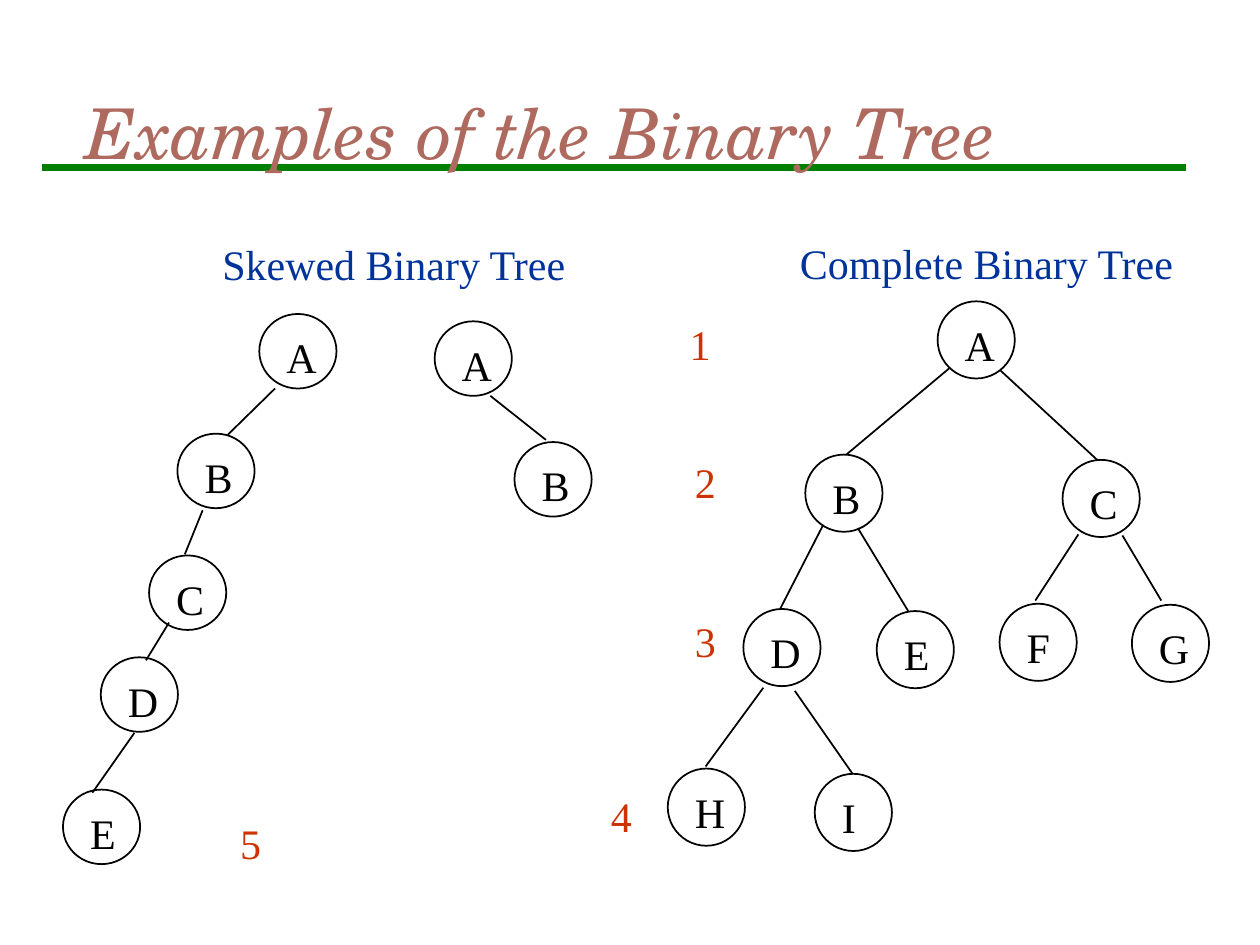
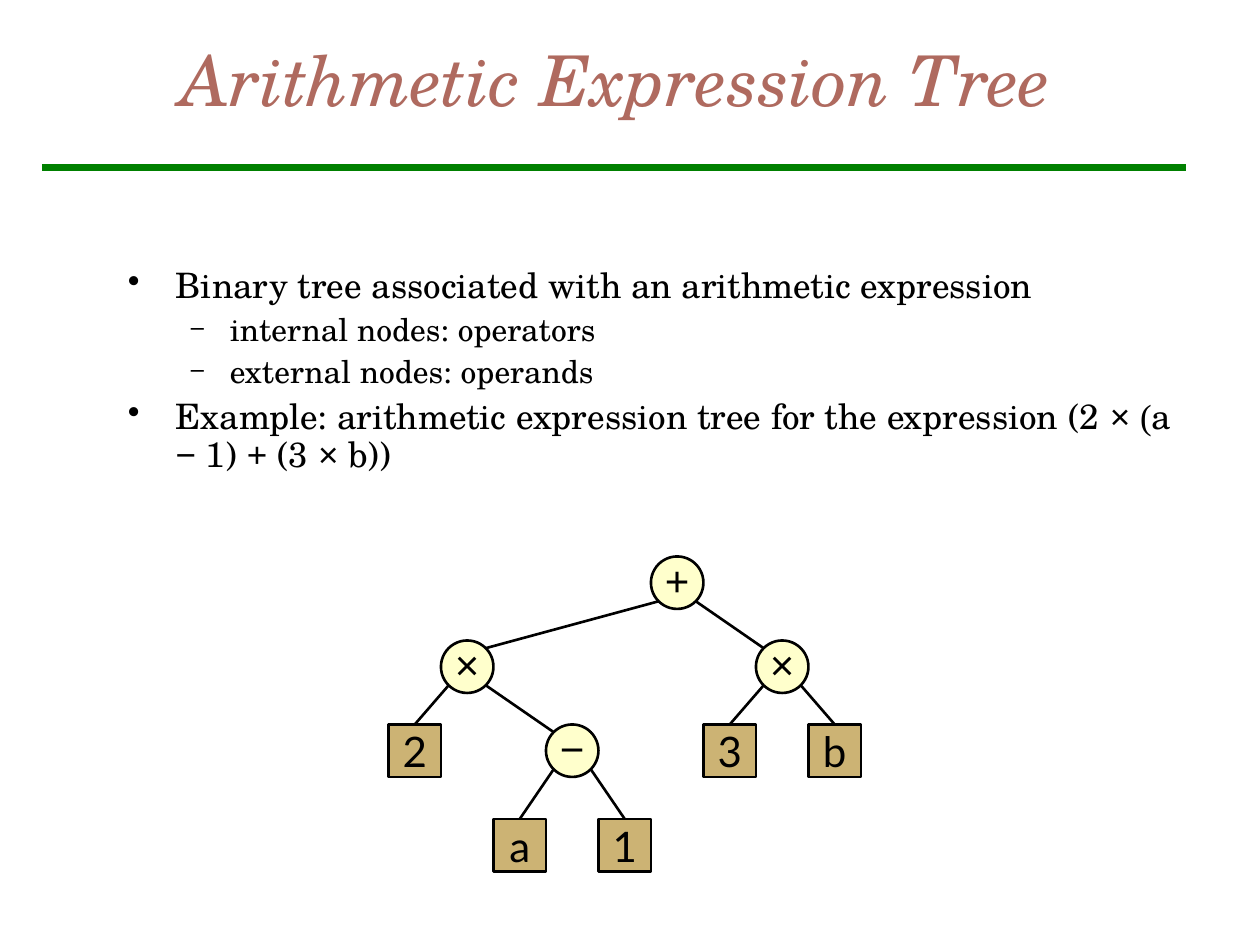
"""Build two slides on binary trees and arithmetic expression trees."""
from math import sqrt

from lxml.etree import SubElement
from pptx import Presentation
from pptx.dml.color import RGBColor
from pptx.enum.shapes import MSO_CONNECTOR, MSO_SHAPE
from pptx.enum.text import MSO_ANCHOR, PP_ALIGN
from pptx.oxml.ns import qn
from pptx.util import Inches, Pt

WHITE = RGBColor(0xFF, 0xFF, 0xFF)
BLACK = RGBColor(0x00, 0x00, 0x00)
GREEN = RGBColor(0x00, 0x80, 0x00)
ROSE = RGBColor(0xAF, 0x6A, 0x5F)
BLUE = RGBColor(0x00, 0x33, 0x99)
RED = RGBColor(0xCC, 0x33, 0x00)
CREAM = RGBColor(0xFF, 0xFF, 0xCC)
TAN = RGBColor(0xCC, 0xB3, 0x74)

SCHOLA, TIMES, ARIAL, LATO = "TeX Gyre Schola", "Times New Roman", "Arial", "Lato"

COLS, ROWS = 120, 90
NODE = 5


def write(p, text, font=TIMES, size=24, color=BLACK, italic=False, align=PP_ALIGN.LEFT):
    """Fill a paragraph from a string or from (text, font) pairs."""
    p.alignment = align
    for part, face in [(text, font)] if isinstance(text, str) else text:
        r = p.add_run()
        r.text = part
        r.font.name, r.font.size, r.font.italic = face, Pt(size), italic
        r.font.color.rgb = color


def bullet(p, char, indent, hang, percent, before):
    """Give a paragraph its bullet, indent and spacing."""
    p.line_spacing, p.space_before = 0.9, Pt(before)
    pPr = p._p.get_or_add_pPr()
    pPr.set("marL", str(Inches(indent)))
    pPr.set("indent", str(-Inches(hang)))
    clr = SubElement(pPr, qn("a:buClr"))
    SubElement(clr, qn("a:srgbClr"), val=str(BLACK))
    SubElement(pPr, qn("a:buSzPct"), val=str(percent * 1000))
    SubElement(pPr, qn("a:buChar"), char=char)


class Deck:
    """Hold the presentation, its grid and the current slide."""

    def __init__(self):
        self.prs = Presentation()
        self.prs.slide_width, self.prs.slide_height = Inches(10), Inches(7.5)
        self.s = None

    def grid(self, *lengths):
        """Turn alternating columns and rows into lengths."""
        units = self.prs.slide_width / COLS, self.prs.slide_height / ROWS
        return [round(n * units[i % 2]) for i, n in enumerate(lengths)]

    def slide(self, title, *box):
        """Start a slide with its green rule and title."""
        self.s = self.prs.slides.add_slide(self.prs.slide_layouts[6])
        self.s.background.fill.solid()
        self.s.background.fill.fore_color.rgb = WHITE
        self.line(4, 16, 113, 16, color=GREEN, width=4)
        tf = self.box(*box, anchor=MSO_ANCHOR.MIDDLE)
        write(tf.paragraphs[0], title, font=SCHOLA, size=40, color=ROSE, italic=True)

    def box(self, x, y, w, h, anchor=MSO_ANCHOR.TOP):
        """Add a wrapping text box and return its text frame."""
        tf = self.s.shapes.add_textbox(*self.grid(x, y, w, h)).text_frame
        tf.word_wrap, tf.vertical_anchor = True, anchor
        return tf

    def label(self, text, x, y, w=5.5, color=BLACK):
        """Add a one-line label."""
        write(self.box(x, y, w, 6).paragraphs[0], text, color=color)

    def line(self, x1, y1, x2, y2, color=BLACK, width=1.0):
        """Add a straight line."""
        sp = self.s.shapes.add_connector(MSO_CONNECTOR.STRAIGHT, *self.grid(x1, y1, x2, y2))
        sp.line.color.rgb, sp.line.width = color, Pt(width)
        SubElement(sp._element.spPr, qn("a:effectLst"))
        return sp

    def shape(self, kind, x, y, w, h, fill=None, width=1.0):
        """Add an outlined shape."""
        sp = self.s.shapes.add_shape(kind, *self.grid(x, y, w, h))
        sp.shadow.inherit = False
        if fill is None:
            sp.fill.background()
        else:
            sp.fill.solid()
            sp.fill.fore_color.rgb = fill
        sp.line.color.rgb, sp.line.width = BLACK, Pt(width)
        return sp

    def tree(self, heading, nodes, edges, levels, height):
        """Draw a headed tree of circles with its level numbers."""
        for name, x, y in nodes:
            self.shape(MSO_SHAPE.OVAL, x, y, 7.35, height)
            self.label(name, x + 1.4, y + 1.1)
        for edge in edges:
            self.line(*edge)
        text, x, y, w = heading
        self.label(text, x, y, w, BLUE)
        for number, x, y in levels:
            self.label(number, x, y, color=RED)

    def expression_node(self, text, x, y, leaf):
        """Draw an operator circle or an operand square."""
        kind, fill, font = (MSO_SHAPE.RECTANGLE, TAN, LATO) if leaf else (MSO_SHAPE.OVAL, CREAM, ARIAL)
        sp = self.shape(kind, x, y, NODE, NODE, fill, 1.5)
        tf = sp.text_frame
        tf.word_wrap, tf.vertical_anchor = False, MSO_ANCHOR.MIDDLE
        if not leaf:
            tf.margin_left = tf.margin_right = tf.margin_top = 0
        write(tf.paragraphs[0], text, font=font, align=PP_ALIGN.CENTER)
        return sp


def binary_trees(d):
    """Draw the skewed and the complete binary trees."""
    d.slide("Examples of the Binary Tree", 7, 5, 100, 15)
    d.tree(
        ("Complete Binary Tree", 75, 22, 39),
        [("A", 89.3, 28.7), ("B", 76.7, 43.3), ("C", 101.2, 43.8),
         ("D", 70.8, 58), ("E", 83.5, 58.2), ("F", 95.2, 57.5),
         ("G", 107.8, 57.6), ("H", 63.6, 73.2), ("I", 77.6, 73.7)],
        [(90.5, 35, 80.6, 43.3), (95.3, 35.3, 104.5, 43.8),
         (78.4, 50, 74.3, 58), (81.7, 50.3, 86.5, 58.2),
         (102.7, 50.9, 98.6, 57.2), (106.9, 51, 110.6, 57.2),
         (72.7, 65.5, 67.2, 73), (75.7, 65.8, 81.2, 73.7)],
        [("1", 64.5, 29.7), ("2", 65, 42.9), ("3", 65, 58), ("4", 57, 74.7)],
        7.35)
    d.tree(
        ("Skewed Binary Tree", 20, 22.1, 36),
        [("A", 24.7, 29.9), ("B", 16.9, 41.3), ("C", 14.2, 52.9),
         ("D", 9.6, 62.6), ("E", 6, 75.2), ("A", 41.4, 30.6), ("B", 49, 42.1)],
        [(26.2, 37, 21.7, 41.4), (19.3, 48.6, 17.6, 52.8),
         (16.1, 59.3, 13.9, 62.9), (12.8, 69.8, 8.8, 75.5),
         (46.7, 37.7, 52, 41.9)],
        [("5", 21.7, 77.3)],
        7.1)


def expression_tree(d):
    """Draw the bullets and the arithmetic expression tree."""
    d.slide("Arithmetic Expression Tree", 16, 0, 102, 15)
    example = [("Example: arithmetic expression tree for the expression (2 ", SCHOLA),
               ("× ", ARIAL), ("(", TIMES), ("a ", SCHOLA), ("−", ARIAL),
               (" 1) ", SCHOLA), ("+", ARIAL), (" (3 ", SCHOLA),
               ("× ", ARIAL), ("b))", SCHOLA)]
    tf = d.box(11, 25, 102, 21.5)
    for i, (level, text) in enumerate([
            (0, "Binary tree associated with an arithmetic expression"),
            (1, "internal nodes: operators"),
            (1, "external nodes: operands"),
            (0, example)]):
        p = tf.add_paragraph() if i else tf.paragraphs[0]
        p.level = level
        write(p, text, font=SCHOLA, size=18 if level else 20)
        bullet(p, *(("–", 0.81, 0.31, 75, 4.5) if level else ("•", 0.38, 0.38, 100, 5)))

    nodes = {"sum": ("+", 62, 53), "left": ("×", 42, 61), "right": ("×", 72, 61),
             "minus": ("−", 52, 69), "2": ("2", 37, 69), "a": ("a", 47, 78),
             "1": ("1", 57, 78), "3": ("3", 67, 69), "b": ("b", 77, 69)}
    children = {"sum": ("left", "right"), "left": ("2", "minus"),
                "right": ("3", "b"), "minus": ("a", "1")}
    shapes = {key: d.expression_node(*node, leaf=key not in children)
              for key, node in nodes.items()}
    half = NODE / 2
    reach = half / sqrt(2)
    for parent, pair in children.items():
        _, px, py = nodes[parent]
        for child, side in zip(pair, (-1, 1)):
            _, cx, cy = nodes[child]
            line = d.line(px + half + side * reach, py + half + reach,
                          cx + half - side * reach, cy + half - reach, width=1.5)
            if child not in children:
                line.end_connect(shapes[child], 0)


def main():
    """Build and save the slides."""
    d = Deck()
    binary_trees(d)
    expression_tree(d)
    d.prs.save("out.pptx")


if __name__ == "__main__":
    main()
